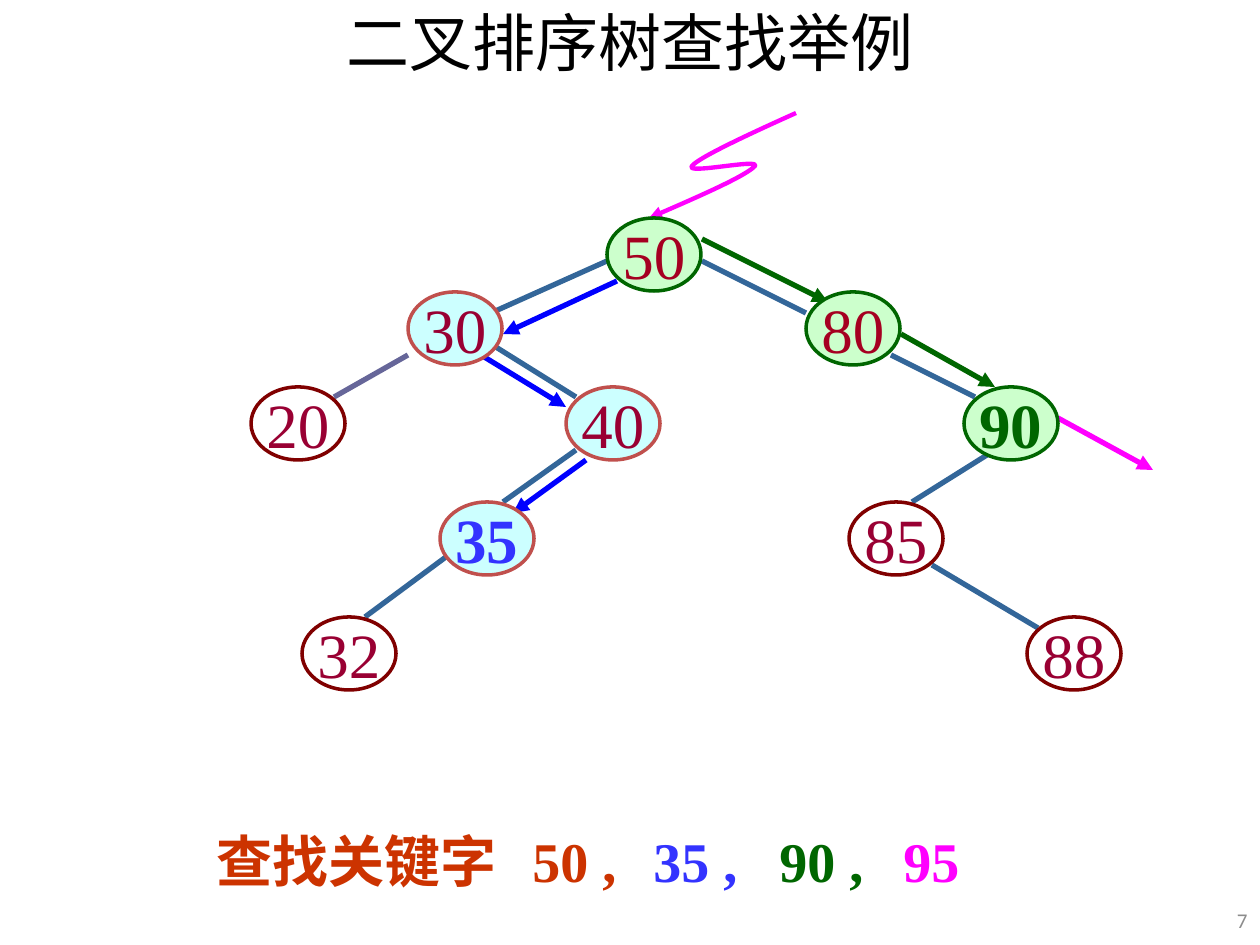
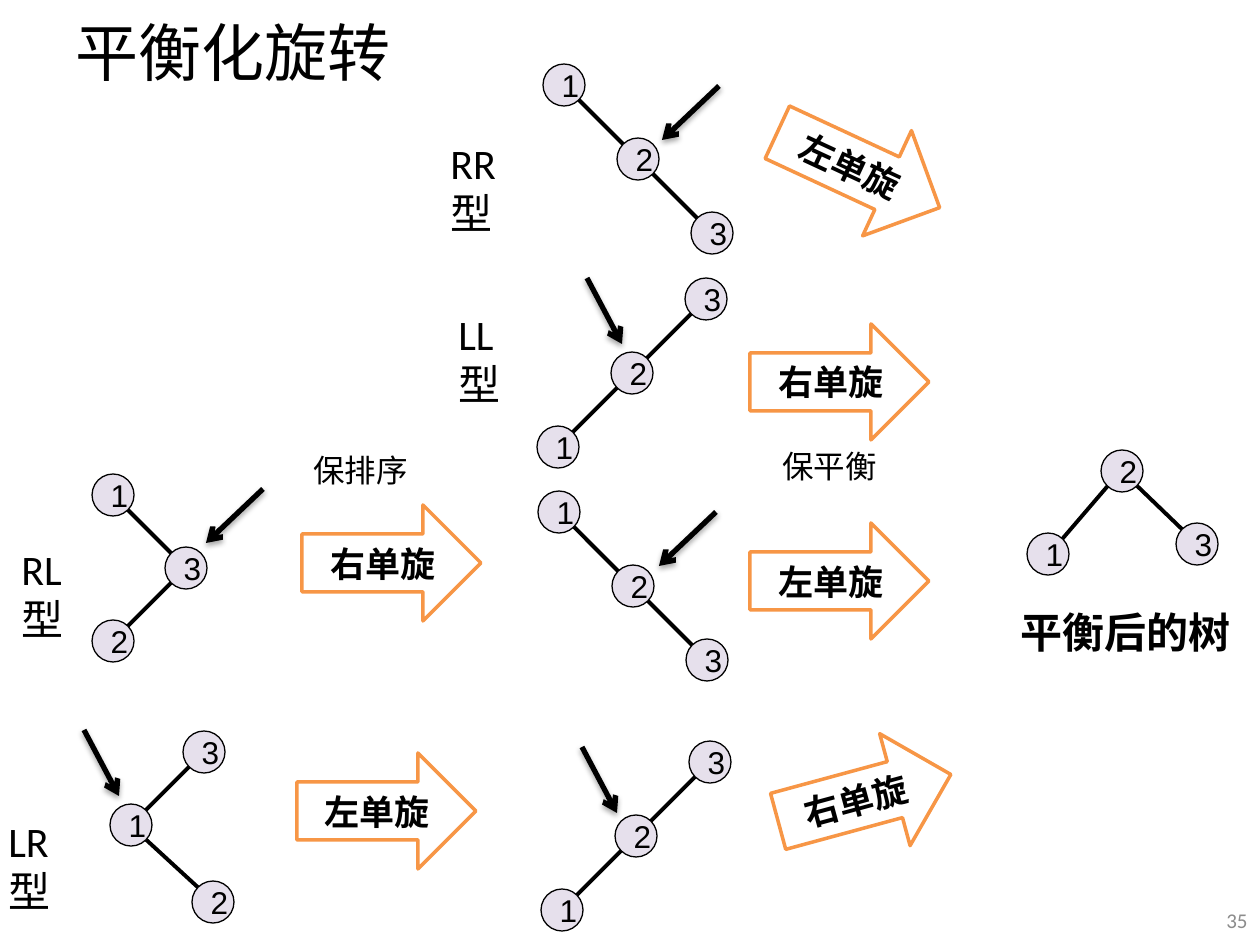
from dataclasses import dataclass
from math import cos, radians, sin

from lxml import etree
from pptx import Presentation
from pptx import util as u
from pptx.dml.color import RGBColor
from pptx.enum import shapes, text
from pptx.oxml.ns import qn

EMU_PER_PX = 914400 / 126
SLIDE_W, SLIDE_H = 1260, 945

COLORS = {
    "black": "000000", "white": "FFFFFF", "gray": "8C8C8C",
    "maroon": "800000", "wine": "990033", "crimson": "A50021",
    "brick": "C0504D", "rust": "CC3300", "orange": "F79646",
    "steel": "336699", "slate": "666699", "blue": "0000FF", "royal": "3333FF",
    "green": "006600", "magenta": "FF00FF",
    "ice": "CCFFFF", "mint": "CCFFCC", "lilac": "E6E0EC",
}
SANS, SERIF, CJK = "Calibri", "Times New Roman", "Noto Sans CJK SC"
LEFT, CENTER, RIGHT = text.PP_ALIGN.LEFT, text.PP_ALIGN.CENTER, text.PP_ALIGN.RIGHT
TOP, MIDDLE = text.MSO_ANCHOR.TOP, text.MSO_ANCHOR.MIDDLE


@dataclass
class Key:
    """A key of the search tree."""
    label: str
    x: int
    y: int
    line: str = "maroon"
    fill: str | None = None
    color: str = "wine"
    bold: bool = False


@dataclass
class Line:
    x1: int
    y1: int
    x2: int
    y2: int
    color: str = "steel"
    width: float = 3
    head: str | None = None
    shadow: bool = False


@dataclass
class Label:
    words: str
    x: int
    y: int
    w: int
    h: int
    size: int
    font: str = SANS
    color: str = "black"
    bold: bool = False
    wrap: bool = False
    inset_right: int = 13


@dataclass
class Tree:
    """Dots as (label, x, y); edges as pairs of dot indexes."""
    dots: list[tuple[str, int, int]]
    edges: list[tuple[int, int]]


@dataclass
class Turn:
    words: str
    x: int
    y: int
    angle: float = 0


# ---- shared helpers ----
def px(n: float) -> int:
    return round(n * EMU_PER_PX)


def rgb(name: str) -> RGBColor:
    return RGBColor.from_string(COLORS[name])


def write(sp, words: str, *, size: float, font: str = SANS, color: str = "black",
          bold: bool = False, align=LEFT, anchor=MIDDLE, wrap: bool = False) -> None:
    tf = sp.text_frame
    tf.auto_size = text.MSO_AUTO_SIZE.NONE
    tf.word_wrap = wrap
    tf.vertical_anchor = anchor
    p = tf.paragraphs[0]
    p.alignment = align
    r = p.add_run()
    r.text = words
    r.font.name, r.font.size, r.font.bold = font, u.Pt(size), bold
    r.font.color.rgb = rgb(color)
    ea = etree.Element(qn("a:ea"), typeface=CJK)
    r.font._element.find(qn("a:latin")).addnext(ea)


def add_label(s, label: Label, angle: float = 0):
    sp = s.shapes.add_textbox(px(label.x), px(label.y), px(label.w), px(label.h))
    sp.rotation = angle
    sp.text_frame.margin_right = px(label.inset_right)
    write(sp, label.words, size=label.size, font=label.font, color=label.color,
          bold=label.bold, anchor=TOP, wrap=label.wrap)


def add_shape(s, kind, x: int, y: int, w: int, h: int, line: str, width: float,
              fill: str | None = None):
    sp = s.shapes.add_shape(kind, px(x), px(y), px(w), px(h))
    sp.shadow.inherit = False
    sp.line.color.rgb = rgb(line)
    sp.line.width = u.Pt(width)
    if fill:
        sp.fill.solid()
        sp.fill.fore_color.rgb = rgb(fill)
    else:
        sp.fill.background()
    return sp


def add_head(sp, kind: str) -> None:
    etree.SubElement(sp.line._get_or_add_ln(), qn("a:tailEnd"), type=kind)


def add_line(s, line: Line) -> None:
    c = s.shapes.add_connector(shapes.MSO_CONNECTOR.STRAIGHT, px(line.x1), px(line.y1),
                               px(line.x2), px(line.y2))
    c.line.color.rgb = rgb(line.color)
    c.line.width = u.Pt(line.width)
    if line.head:
        add_head(c, line.head)
    effects = etree.SubElement(c._element.spPr, qn("a:effectLst"))
    if line.shadow:
        shadow = etree.SubElement(effects, qn("a:outerShdw"), blurRad="40000",
                                  dist="23000", dir="5400000", rotWithShape="0")
        tint = etree.SubElement(shadow, qn("a:srgbClr"), val=COLORS["black"])
        etree.SubElement(tint, qn("a:alpha"), val="35000")


def add_curve(s, points: list[tuple[int, int]], color: str, width: float) -> None:
    """Start point, then three points for each cubic segment."""
    builder = s.shapes.build_freeform(*points[0], scale=EMU_PER_PX)
    builder.add_line_segments(points[1:], close=False)
    sp = builder.convert_to_shape()
    sp.shadow.inherit = False
    sp.fill.background()
    sp.line.color.rgb = rgb(color)
    sp.line.width = u.Pt(width)
    add_head(sp, "triangle")
    steps = sp._element.xpath(".//a:lnTo")
    for i in range(0, len(steps), 3):
        bezier = etree.Element(qn("a:cubicBezTo"))
        steps[i].addprevious(bezier)
        for step in steps[i:i + 3]:
            bezier.append(step[0])
            step.getparent().remove(step)


def new_slide(prs, title: str, top: int, align, number: str):
    s = prs.slides.add_slide(prs.slide_layouts[5])
    sp = s.shapes.title
    sp.left, sp.top, sp.width, sp.height = px(63), px(top), px(1134), px(90)
    write(sp, title, size=36, align=align, wrap=True)
    sp = s.shapes.add_textbox(px(1206), px(895), px(54), px(50))
    write(sp, number, size=12, color="gray", align=RIGHT, wrap=True)
    return s


# ---- slide 1: searching the tree ----
def blue_key(label: str, x: int, y: int, **kw) -> Key:
    return Key(label, x, y, "brick", "ice", **kw)


def green_key(label: str, x: int, y: int, color: str = "crimson", **kw) -> Key:
    return Key(label, x, y, "green", "mint", color, **kw)


KEYS = [
    Key("20", 251, 387), Key("85", 849, 502), Key("88", 1027, 617), Key("32", 302, 617),
    blue_key("30", 408, 292), blue_key("40", 566, 387),
    blue_key("35", 440, 502, color="royal", bold=True),
    green_key("50", 607, 218), green_key("80", 806, 292),
    green_key("90", 964, 387, "green", bold=True),
]
BRANCHES = [
    Line(607, 261, 491, 313), Line(408, 355, 334, 397, "slate"),
    Line(702, 261, 806, 313), Line(491, 344, 576, 397), Line(576, 450, 503, 502),
    Line(891, 355, 975, 397), Line(995, 450, 912, 502), Line(932, 565, 1038, 628),
    Line(450, 554, 365, 617),
]
SEARCH_STEPS = [
    Line(617, 281, 503, 334, "blue", head="triangle"),
    Line(481, 355, 566, 407, "blue", head="triangle"),
    Line(586, 460, 513, 513, "blue", head="triangle"),
    Line(702, 239, 828, 302, "green", head="triangle"),
    Line(901, 334, 995, 387, "green", head="triangle"),
    Line(1058, 418, 1153, 470, "magenta", head="triangle"),
]
ENTRY_CURVE = [(796, 113), (747, 135), (698, 158), (692, 166), (684, 175),
               (761, 158), (755, 166), (747, 175), (698, 197), (649, 218)]
SEARCHED = [("查找关键字", 204, 309, CJK, "rust"), (" 50 ,", 506, 125, SERIF, "rust"),
            ("35 ,", 641, 111, SERIF, "royal"), ("90 ,", 767, 111, SERIF, "green"),
            ("95", 891, 96, SERIF, "magenta")]


def search_slide(prs) -> None:
    s = new_slide(prs, "二叉排序树查找举例", -4, CENTER, "7")
    for line in BRANCHES + SEARCH_STEPS:
        add_line(s, line)
    add_curve(s, ENTRY_CURVE, "magenta", 2.5)
    for key in KEYS:
        sp = add_shape(s, shapes.MSO_SHAPE.OVAL, key.x, key.y, 94, 73, key.line, 2, key.fill)
        write(sp, key.label, size=36, font=SERIF, color=key.color, bold=key.bold,
              align=CENTER)
    for words, x, w, font, color in SEARCHED:
        add_label(s, Label(words, x, 820, w, 81, 32, font, color, bold=True))


# ---- slide 2: rotations ----
DOT, STEP, EDGE_INSET = 42, 74, 10


def chain(labels: str, x: int, y: int, direction: int) -> Tree:
    """Three dots on one slope, going right (1) or left (-1)."""
    dots = [(c, x + direction * i * STEP, y + i * STEP) for i, c in enumerate(labels)]
    return Tree(dots, [(0, 2)])


TREES = [
    chain("123", 543, 64, 1), chain("321", 685, 278, -1),
    chain("123", 538, 491, 1), chain("321", 689, 741, -1),
    Tree([("1", 110, 804), ("3", 183, 731), ("2", 192, 881)], [(0, 1), (0, 2)]),
    Tree([("3", 165, 547), ("1", 92, 474), ("2", 92, 620)], [(0, 1), (0, 2)]),
    Tree([("2", 1101, 450), ("1", 1027, 533), ("3", 1176, 523)], [(0, 1), (0, 2)]),
]
FROM_RIGHT, FROM_LEFT = (-57, 54), (35, 66)
POINTERS = [(719, 86, FROM_RIGHT), (716, 512, FROM_RIGHT), (263, 489, FROM_RIGHT),
            (84, 730, FROM_LEFT), (587, 278, FROM_LEFT), (582, 747, FROM_LEFT)]
TURNS = [Turn("右单旋", 302, 505), Turn("右单旋", 775, 740, 344.8),
         Turn("右单旋", 750, 324), Turn("左单旋", 750, 523),
         Turn("左单旋", 297, 753), Turn("左单旋", 769, 112, 24.9)]
CASES = [("RR型", 438, 131, 113), ("LL型", 446, 302, 103),
         ("LR型", -4, 809, 108), ("RL型", 9, 537, 108)]
NOTES = [Label("平衡后的树", 1008, 600, 238, 63, 24, bold=True),
         Label("保排序", 301, 445, 126, 50, 18, wrap=True),
         Label("保平衡", 770, 441, 126, 50, 18, wrap=True)]


def add_tree(s, tree: Tree) -> None:
    for start, end in tree.edges:
        (_, x1, y1), (_, x2, y2) = tree.dots[start], tree.dots[end]
        dx = EDGE_INSET if x2 > x1 else -EDGE_INSET
        dy = EDGE_INSET if y2 > y1 else -EDGE_INSET
        mid = DOT // 2
        add_line(s, Line(x1 + mid + dx, y1 + mid + dy, x2 + mid - dx, y2 + mid - dy,
                         "black", 2.25))
    for label, x, y in tree.dots:
        sp = add_shape(s, shapes.MSO_SHAPE.OVAL, x, y, DOT, DOT, "black", 0.75, "lilac")
        write(sp, label, size=18, font="Arial")


def add_turn(s, turn: Turn) -> None:
    w, h, label_w, label_h = 179, 116, 132, 55
    sp = add_shape(s, shapes.MSO_SHAPE.RIGHT_ARROW, turn.x, turn.y, w, h,
                   "orange", 2, "white")
    sp.rotation = turn.angle
    # The label sits a little behind the arrow's centre, along its axis
    back, a = -8, radians(turn.angle)
    x = round(turn.x + (w - label_w) / 2 + back * cos(a))
    y = round(turn.y + (h - label_h) / 2 + back * sin(a))
    add_label(s, Label(turn.words, x, y, label_w, label_h, 20, bold=True), turn.angle)


def rotation_slide(prs) -> None:
    s = new_slide(prs, "平衡化旋转", 6, LEFT, "35")
    for tree in TREES:
        add_tree(s, tree)
    for x, y, (dx, dy) in POINTERS:
        add_line(s, Line(x, y, x + dx, y + dy, "black", head="arrow", shadow=True))
    for turn in TURNS:
        add_turn(s, turn)
    # The wide right inset sets 型 on a second line
    for words, x, y, w in CASES:
        add_label(s, Label(words, x, y, w, 63, 24, wrap=True, inset_right=30))
    for note in NOTES:
        add_label(s, note)


def main() -> None:
    prs = Presentation()
    prs.slide_width, prs.slide_height = px(SLIDE_W), px(SLIDE_H)
    search_slide(prs)
    rotation_slide(prs)
    prs.save("out.pptx")


if __name__ == "__main__":
    main()
